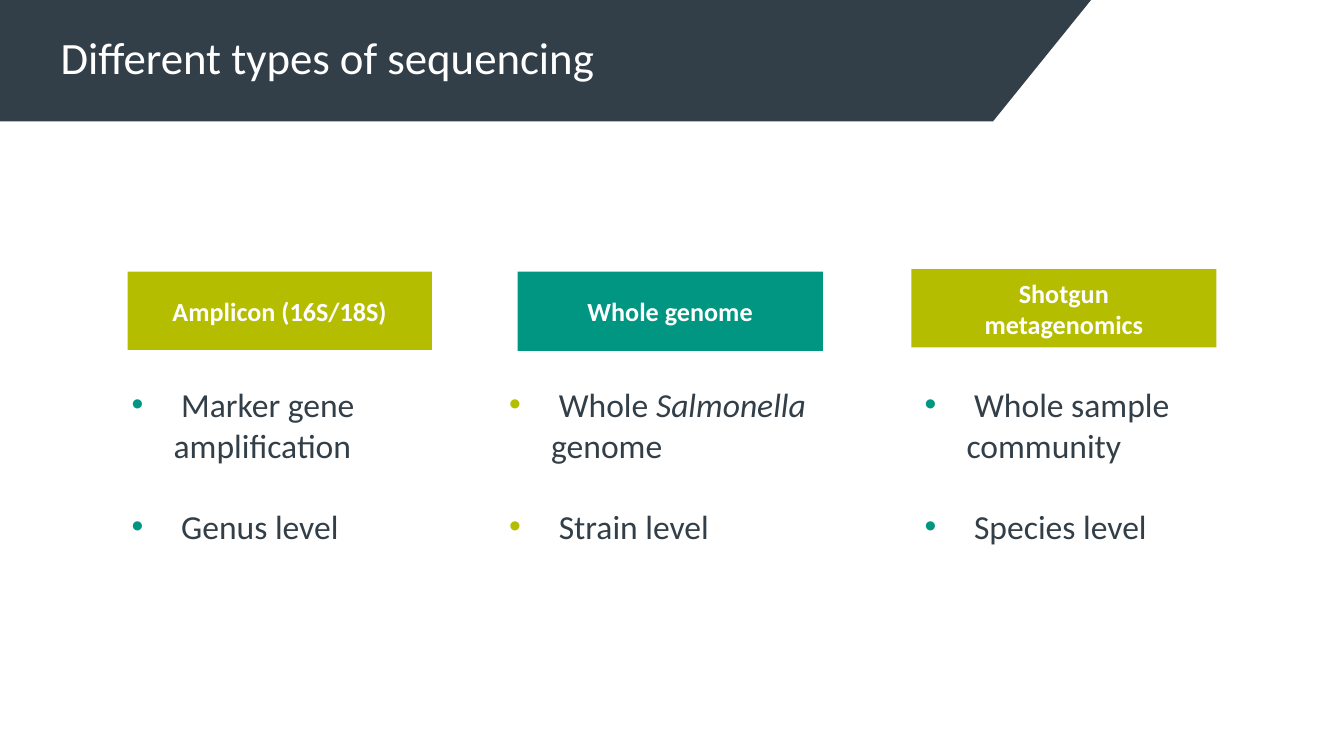
from collections import namedtuple
from dataclasses import dataclass

from lxml.etree import SubElement
from pptx import Presentation
from pptx.dml.color import RGBColor
from pptx.enum.shapes import MSO_SHAPE
from pptx.enum.text import MSO_ANCHOR, PP_ALIGN
from pptx.oxml.ns import qn
from pptx.util import Pt

Box = namedtuple("Box", "left top width height")


@dataclass(frozen=True)
class Theme:
    slate: str = "333F48"
    teal: str = "009681"
    lime: str = "B5BD00"
    white: str = "FFFFFF"
    font: str = "Calibri"
    title_size: int = 24
    label_size: int = 14
    body_size: int = 18


THEME = Theme()


def style_font(font, size, color, bold=False):
    font.name = THEME.font
    font.size = Pt(size)
    font.bold = bold
    font.color.rgb = RGBColor.from_string(color)


def add_filled_shape(shapes, kind, box, color):
    shape = shapes.add_shape(kind, *map(Pt, box))
    shape.shadow.inherit = False
    shape.fill.solid()
    shape.fill.fore_color.rgb = RGBColor.from_string(color)
    shape.line.fill.background()
    return shape


def add_text_frame(page, box):
    frame = page.shapes.add_textbox(*map(Pt, box)).text_frame
    frame.word_wrap = True
    return frame


def add_header(page, box, title):
    slant = 105
    banner = page.shapes.add_group_shape().shapes
    body_width = box.width - slant / 2
    add_filled_shape(banner, MSO_SHAPE.RECTANGLE,
                     box._replace(width=body_width), THEME.slate)
    add_filled_shape(banner, MSO_SHAPE.FLOWCHART_MERGE,
                     box._replace(left=box.left + box.width - slant, width=slant), THEME.slate)
    frame = add_text_frame(page, Box(box.left + 32.5, box.top + 16, 320, 24))
    frame.margin_left = frame.margin_right = frame.margin_top = frame.margin_bottom = 0
    frame.text = title
    style_font(frame.paragraphs[0].runs[0].font, THEME.title_size, THEME.white)


def add_label(page, box, text, color):
    shape = add_filled_shape(page.shapes, MSO_SHAPE.RECTANGLE, box, color)
    frame = shape.text_frame
    frame.word_wrap = True
    frame.margin_left = frame.margin_right = Pt(20)
    frame.margin_top = frame.margin_bottom = 0
    frame.vertical_anchor = MSO_ANCHOR.MIDDLE
    frame.text = text
    para = frame.paragraphs[0]
    para.alignment = PP_ALIGN.CENTER
    style_font(para.runs[0].font, THEME.label_size, THEME.white, bold=True)


def add_bullet(para, color):
    indent = Pt(22.5)
    properties = para._p.get_or_add_pPr()
    properties.set("marL", str(indent))
    properties.set("indent", str(-indent))
    bullet_color = SubElement(properties, qn("a:buClr"))
    SubElement(bullet_color, qn("a:srgbClr")).set("val", color)
    SubElement(properties, qn("a:buFont")).set("typeface", "Arial")
    SubElement(properties, qn("a:buChar")).set("char", "•")


def add_bullet_list(page, box, items, color):
    frame = add_text_frame(page, box)
    for index, item in enumerate(items):
        para = frame.paragraphs[0] if index == 0 else frame.add_paragraph()
        add_bullet(para, color)
        if index:
            para.space_before = Pt(22)
        for text, italic in [(" ", False), *item]:
            span = para.add_run()
            span.text = text
            style_font(span.font, THEME.body_size, THEME.slate)
            span.font.italic = italic


def add_column(page, label_box, list_left, list_width, label, items, label_color, bullet_color):
    add_label(page, label_box, label, label_color)
    add_bullet_list(page, Box(list_left, 202.3, list_width, 94), items, bullet_color)


def main():
    deck = Presentation()
    deck.slide_width, deck.slide_height = Pt(720), Pt(405)
    page = deck.slides.add_slide(deck.slide_layouts[6])
    add_header(page, Box(0, 0, 584.5, 65), "Different types of sequencing")

    columns = [
        (Box(68.4, 145.5, 163, 42), 63.4, 173.5, "Amplicon (16S/18S)",
         [[("Marker gene amplification", False)], [("Genus level", False)]],
         THEME.lime, THEME.teal),
        (Box(277.3, 145.5, 163.5, 42.5), 265.7, 186.5, "Whole genome",
         [[("Whole ", False), ("Salmonella ", True), ("genome", False)],
          [("Strain level", False)]],
         THEME.teal, THEME.lime),
        (Box(488.2, 144.2, 163.5, 42), 488.2, 177, "Shotgun metagenomics",
         [[("Whole sample community", False)], [("Species level", False)]],
         THEME.lime, THEME.teal),
    ]
    for column in columns:
        add_column(page, *column)
    deck.save("out.pptx")


if __name__ == "__main__":
    main()
